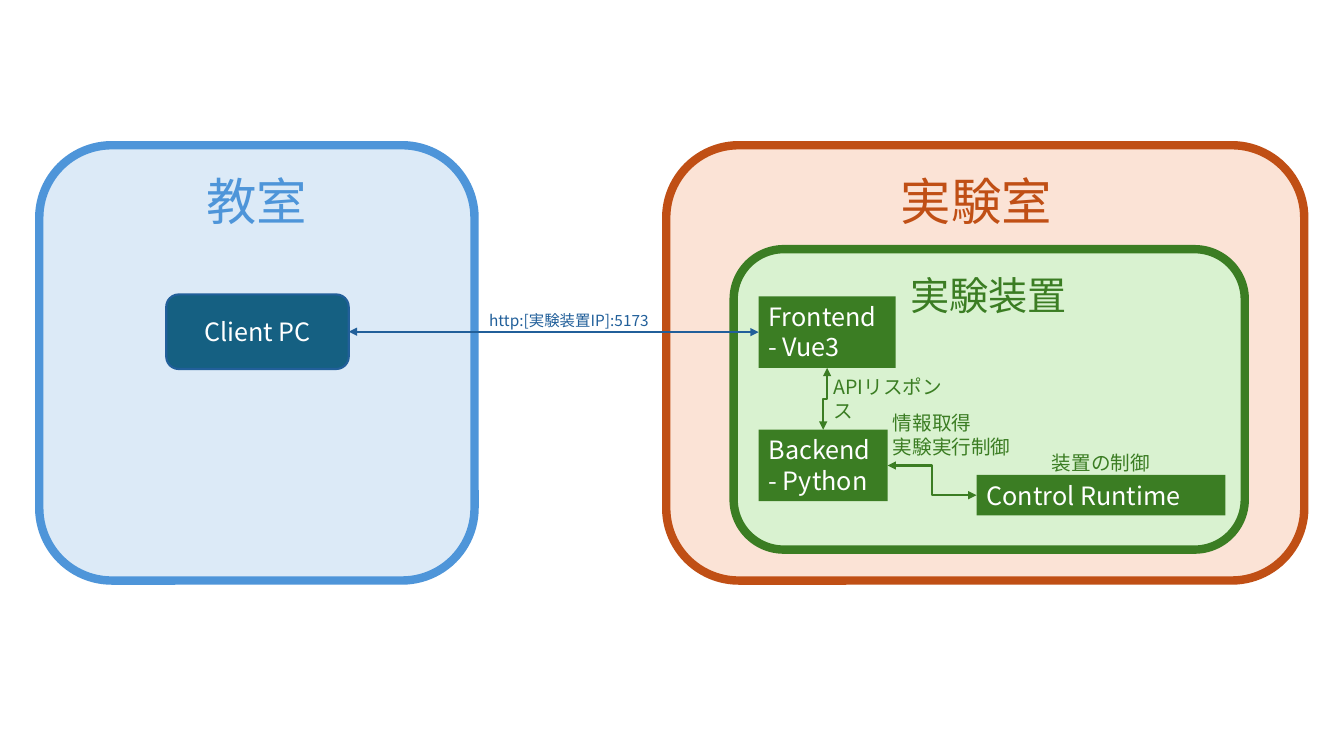
from lxml.etree import SubElement as Sub
from pptx import Presentation
from pptx.dml.color import RGBColor as RGB
from pptx.enum.shapes import MSO_CONNECTOR as Link, MSO_SHAPE as Kind
from pptx.enum.text import MSO_ANCHOR as Anchor, PP_ALIGN as Align
from pptx.oxml.ns import qn
from pptx.util import Cm, Pt

FACE = "Noto Sans CJK JP"
BLUE, SKY, NAVY = "4E95D9", "DCEAF7", "215F9A"
RUST, PEACH = "C04F15", "FBE3D6"
GREEN, MINT = "3B7D23", "D9F2D0"
TEAL, WHITE = "156082", "FFFFFF"


def tint(part, code):
    """Give a fill, line or font format a solid colour."""
    if hasattr(part, "solid"):
        part.solid()
        part.fore_color.rgb = RGB.from_string(code)
    else:
        part.color.rgb = RGB.from_string(code)


def inset(box, x, y, w, h):
    """Return a w by h box placed x, y from the corner of another."""
    return box[0] + x, box[1] + y, w, h


def write(shape, text, size, code, align=Align.LEFT, anchor=Anchor.TOP):
    """Set the text of a shape, one paragraph per line."""
    frame = shape.text_frame
    for key, val in {"text": text, "word_wrap": True,
                     "vertical_anchor": anchor}.items():
        setattr(frame, key, val)
    for para in frame.paragraphs:
        para.alignment = align
        for run in para.runs:
            for key, val in {"size": Pt(size), "name": FACE}.items():
                setattr(run.font, key, val)
            tint(run.font, code)
            Sub(run.font._element, qn("a:ea"), typeface=FACE)


def label(slide, box, text, size, code, align=Align.LEFT):
    """Add a plain text box."""
    shape = slide.shapes.add_textbox(*map(Cm, box))
    write(shape, text, size, code, align)


def block(slide, box, kind, fill, edge=None, width=0):
    """Add a filled shape, with an outline if an edge colour is given."""
    shape = slide.shapes.add_shape(kind, *map(Cm, box))
    shape.shadow.inherit = False
    tint(shape.fill, fill)
    if edge:
        tint(shape.line, edge)
        shape.line.width = Pt(width)
    else:
        shape.line.fill.background()
    return shape


def node(slide, box, text):
    """Add a green software block."""
    shape = block(slide, box, Kind.RECTANGLE, GREEN)
    write(shape, text, 18, WHITE)
    return shape


def arrow(slide, start, end, code, sites=(3, 1)):
    """Join two shapes by a double-headed elbow arrow."""
    line = slide.shapes.add_connector(Link.ELBOW, 0, 0, 0, 0)
    line.begin_connect(start, sites[0])
    line.end_connect(end, sites[1])
    tint(line.line, code)
    line.line.width = Pt(1.5)
    props = line._element.spPr
    for tip in ("a:headEnd", "a:tailEnd"):
        Sub(props.find(qn("a:ln")), qn(tip), type="triangle")
    Sub(props, qn("a:effectLst"))
    return line


def drop(slide, start, end, code):
    """Join a shape to one below it and slightly to its left."""
    line = arrow(slide, start, end, code, (2, 0))
    wide, high = line.width, line.height
    shift = (wide - high) // 2
    for key, val in {"left": line.left + shift, "top": line.top - shift,
                     "width": high, "height": wide}.items():
        setattr(line, key, val)
    form = line._element.spPr.find(qn("a:xfrm"))
    form.attrib.pop("flipH", None)
    form.set("rot", str(90 * 60000))


def room(slide, box):
    """Draw the classroom and return its client block."""
    block(slide, box, Kind.ROUNDED_RECTANGLE, SKY, BLUE, 6)
    label(slide, inset(box, 3.48, 0.51, 4.01, 1.8), "教室", 36, BLUE,
          Align.CENTER)
    client = block(slide, inset(box, 3.2, 3.76, 4.6, 1.88),
                   Kind.ROUNDED_RECTANGLE, TEAL, NAVY, 1.5)
    write(client, "Client PC", 18, WHITE, Align.CENTER, Anchor.MIDDLE)
    return client


def device(slide, box):
    """Draw the test device and return its front end block."""
    block(slide, box, Kind.ROUNDED_RECTANGLE, MINT, GREEN, 6)
    label(slide, inset(box, 3.48, 0.43, 5.89, 1.45), "実験装置", 28, GREEN,
          Align.CENTER)
    back = node(slide, inset(box, 0.63, 4.55, 3.25, 1.8),
                "Backend\n- Python")
    plc = node(slide, inset(box, 6.12, 5.69, 6.27, 1.02), "Control Runtime")
    front = node(slide, inset(box, 0.63, 1.19, 3.45, 1.8),
                 "Frontend\n- Vue3")
    arrow(slide, back, plc, GREEN)
    drop(slide, front, back, GREEN)
    for x, y, w, h, text in (
        (7.77, 4.95, 3.2, 0.86, "装置の制御"),
        (3.76, 3.96, 3.7, 1.45, "情報取得\n実験実行制御"),
        (2.26, 3.05, 3.66, 0.86, "APIリスポンス"),
    ):
        label(slide, inset(box, x, y, w, h), text, 14, GREEN)
    return front


def lab(slide, box):
    """Draw the laboratory and return the front end block inside it."""
    block(slide, box, Kind.ROUNDED_RECTANGLE, PEACH, RUST, 6)
    label(slide, inset(box, 5.61, 0.51, 4.42, 1.8), "実験室", 36, RUST,
          Align.CENTER)
    return device(slide, inset(box, 1.7, 2.62, 12.88, 7.57))


def main():
    """Build and save the slide."""
    deck = Presentation()
    deck.slide_width, deck.slide_height = Cm(33.87), Cm(19.05)
    slide = deck.slides.add_slide(deck.slide_layouts[6])
    client = room(slide, (0.99, 3.66, 10.97, 10.97))
    front = lab(slide, (16.79, 3.66, 16.08, 10.97))
    arrow(slide, client, front, NAVY)
    label(slide, (10.62, 7.72, 7.44, 0.74), "http:[実験装置IP]:5173", 11,
          NAVY, Align.CENTER)
    deck.save("out.pptx")


if __name__ == "__main__":
    main()
